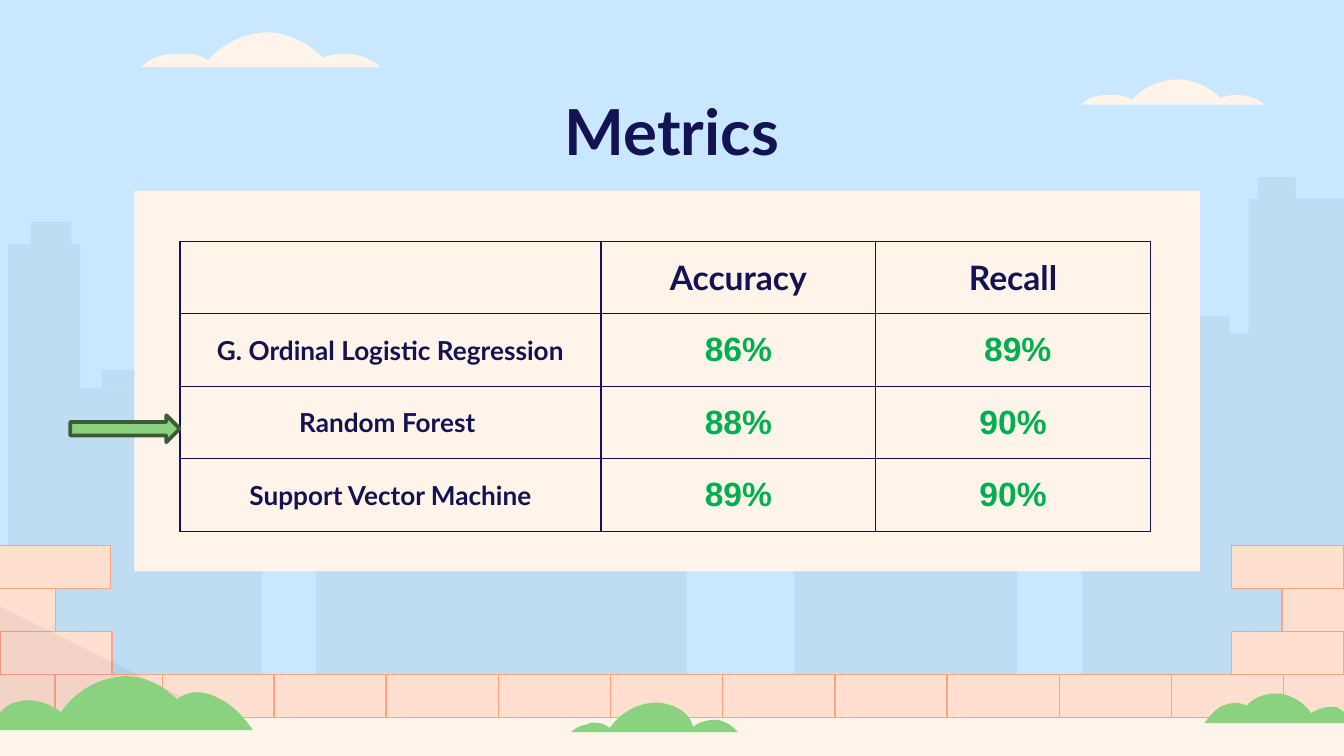
from lxml.etree import SubElement
from pptx import Presentation
from pptx.dml.color import RGBColor as RGB
from pptx.enum.shapes import MSO_SHAPE as SHAPE
from pptx.enum.text import MSO_ANCHOR as ANCHOR, PP_ALIGN as ALIGN
from pptx.oxml.ns import qn
from pptx.util import Cm, Pt

COLORS = {
    "sky": "C9E8FF", "cream": "FFF4E9", "navy": "131353", "score": "00B050",
    "shade": "000000", "brick": "FFDFD0", "mortar": "FFA386",
    "leaf": "8AD280", "arrow_edge": "3C5C38",
}

BACK_BUILDINGS = [
    (0.15, 4.62, 1.52, 14.63), (1.52, 7.34, 4.95, 14.63),
    (1.93, 6.99, 4.57, 7.34), (0.58, 4.19, 1.35, 4.62),
    (23.6, 3.76, 25.83, 13.06), (20.45, 6.3, 23.6, 13.06),
    (20.78, 5.97, 23.24, 6.3), (23.77, 3.35, 24.49, 3.76),
    (18.01, 5.05, 19.23, 13.82), (15.01, 7.44, 18.01, 13.82),
]
FRONT_BUILDINGS = [
    (5.97, 5.51, 6.76, 13.16), (6.76, 4.14, 8.28, 13.16),
    (8.28, 5, 10.21, 13.16), (10.21, 7.21, 12.98, 13.16),
]

CLOUD = [
    [(0.52, 0)],
    [(0.61, 0), (0.7, 0.31), (0.76, 0.73)],
    [(0.79, 0.65), (0.82, 0.62), (0.85, 0.62)],
    [(0.9, 0.62), (0.96, 0.73), (1, 1)],
    [(0, 1)],
    [(0.03, 0.81), (0.06, 0.69), (0.1, 0.65)],
    [(0.12, 0.62), (0.15, 0.62), (0.17, 0.62)],
    [(0.21, 0.62), (0.25, 0.65), (0.28, 0.81)],
    [(0.34, 0.31), (0.43, 0.04), (0.52, 0)],
]
MIDDLE_BUSH = [
    [(0.51, 0)],
    [(0.4, 0), (0.29, 0.36), (0.23, 0.86)],
    [(0.2, 0.73), (0.17, 0.68), (0.14, 0.68)],
    [(0.12, 0.68), (0.1, 0.68), (0.1, 0.73)],
    [(0.06, 0.77), (0.02, 0.86), (0, 1)],
    [(1, 1)],
    [(0.97, 0.82), (0.93, 0.64), (0.88, 0.59)],
    [(0.87, 0.59), (0.86, 0.59), (0.85, 0.59)],
    [(0.81, 0.59), (0.76, 0.68), (0.73, 0.82)],
    [(0.72, 0.59), (0.69, 0.36), (0.65, 0.23)],
    [(0.61, 0.09), (0.57, 0.05), (0.53, 0)],
]
LEFT_BUSH = [
    [(0.49, 0)],
    [(0.48, 0), (0.47, 0.02), (0.46, 0.02)],
    [(0.37, 0.08), (0.29, 0.33), (0.24, 0.68)],
    [(0.23, 0.6), (0.21, 0.6), (0.2, 0.55)],
    [(0.17, 0.48), (0.14, 0.45), (0.11, 0.45)],
    [(0.1, 0.45), (0.09, 0.45), (0.07, 0.48)],
    [(0.04, 0.5), (0.02, 0.58), (0, 0.68)],
    [(0, 1)],
    [(1, 1)],
    [(0.96, 0.72), (0.91, 0.5), (0.86, 0.4)],
    [(0.84, 0.35), (0.81, 0.3), (0.78, 0.3)],
    [(0.75, 0.3), (0.72, 0.35), (0.7, 0.43)],
    [(0.64, 0.15), (0.57, 0), (0.49, 0)],
]
RIGHT_BUSH = [
    [(0.5, 0)],
    [(0.52, 0), (0.53, 0), (0.54, 0)],
    [(0.63, 0.09), (0.71, 0.32), (0.76, 0.68)],
    [(0.77, 0.59), (0.79, 0.59), (0.8, 0.55)],
    [(0.83, 0.5), (0.86, 0.45), (0.9, 0.45)],
    [(0.91, 0.45), (0.92, 0.45), (0.93, 0.45)],
    [(0.96, 0.5), (0.98, 0.59), (1, 0.68)],
    [(1, 1)],
    [(0, 1)],
    [(0.04, 0.73), (0.09, 0.5), (0.13, 0.41)],
    [(0.16, 0.36), (0.19, 0.32), (0.22, 0.32)],
    [(0.25, 0.32), (0.28, 0.36), (0.3, 0.41)],
    [(0.35, 0.14), (0.43, 0), (0.5, 0)],
]

METRICS = [
    ["", "Accuracy", "Recall"],
    ["G. Ordinal Logistic Regression", "86%", " 89%"],
    ["Random Forest ", "88%", "90%"],
    ["Support Vector Machine", "89%", "90%"],
]


def color(name):
    return RGB.from_string(COLORS[name])


def write(tf, text, size=18, font="Lato", ink="navy", align=ALIGN.CENTER):
    p = tf.paragraphs[0]
    p.alignment = align
    r = p.add_run()
    r.text = text
    r.font.size, r.font.name, r.font.bold = Pt(size), font, True
    r.font.color.rgb = color(ink)


def flatten(segments, steps=10):
    points = list(segments[0])
    for seg in segments[1:]:
        if len(seg) == 1:
            points += seg
            continue
        ctrl = [points[-1], *seg]
        for t in (i / steps for i in range(1, steps + 1)):
            weights = ((1 - t) ** 3, 3 * t * (1 - t) ** 2, 3 * t * t * (1 - t), t ** 3)
            points.append(tuple(sum(w * c[k] for w, c in zip(weights, ctrl)) for k in (0, 1)))
    return points


class Scene:
    """Holds the slide being drawn and the style of its elements."""

    inset = Cm(0.25)

    def __init__(self, s):
        self.s = s
        s.background.fill.solid()
        s.background.fill.fore_color.rgb = color("sky")

    def paint(self, sp, fill=None, line=None, width=0.75, alpha=None):
        sp.shadow.inherit = False
        if fill:
            sp.fill.solid()
            sp.fill.fore_color.rgb = color(fill)
        else:
            sp.fill.background()
        if alpha:
            clr = sp._element.spPr.find(".//" + qn("a:srgbClr"))
            SubElement(clr, qn("a:alpha"), val=str(alpha * 1000))
        if line:
            sp.line.color.rgb = color(line)
            sp.line.width = Pt(width)
        else:
            sp.line.fill.background()

    def shape(self, x, y, w, h, kind=SHAPE.RECTANGLE, **style):
        sp = self.s.shapes.add_shape(kind, Cm(x), Cm(y), Cm(w), Cm(h))
        self.paint(sp, **style)

    def building(self, left, top, right, bottom):
        self.shape(left, top, right - left, bottom - top, fill="shade", alpha=5)

    def brick(self, x, y):
        self.shape(x, y, 2.12, 0.81, fill="brick", line="mortar")

    def outline(self, segments, x, y, w, h, fill):
        points = [(Cm(x + w * u), Cm(y + h * v)) for u, v in flatten(segments)]
        builder = self.s.shapes.build_freeform(*points[0])
        builder.add_line_segments(points[1:], close=True)
        self.paint(builder.convert_to_shape(), fill=fill)

    def title(self, text, x, y, w, h):
        tf = self.s.shapes.add_textbox(Cm(x), Cm(y), Cm(w), Cm(h)).text_frame
        tf.word_wrap = True
        tf.margin_left = tf.margin_right = tf.margin_top = tf.margin_bottom = self.inset
        write(tf, text, size=34)

    def cell(self, cell, text, **style):
        cell.vertical_anchor = ANCHOR.MIDDLE
        cell.margin_left = cell.margin_right = cell.margin_top = cell.margin_bottom = self.inset
        tc_pr = cell._tc.get_or_add_tcPr()
        for side in "LRTB":
            ln = SubElement(tc_pr, qn(f"a:ln{side}"), w=str(Pt(0.75)))
            SubElement(SubElement(ln, qn("a:solidFill")), qn("a:srgbClr"), val=COLORS["navy"])
        cell.fill.background()
        if text:
            write(cell.text_frame, text, **style)

    def table(self, rows, x, y, widths, row_height):
        frame = self.s.shapes.add_table(len(rows), len(widths), Cm(x), Cm(y),
                                        Cm(sum(widths)), Cm(row_height * len(rows)))
        tbl = frame.table
        tbl.first_row = tbl.horz_banding = False
        for col, w in zip(tbl.columns, widths):
            col.width = Cm(w)
        for i, row in enumerate(rows):
            tbl.rows[i].height = Cm(row_height)
            for j, text in enumerate(row):
                style = {}
                if i:
                    style = {"font": "Arial", "ink": "score"} if j else {"size": 14}
                self.cell(tbl.cell(i, j), text, **style)


def main():
    prs = Presentation()
    prs.slide_width, prs.slide_height = Cm(25.4), Cm(14.29)
    scene = Scene(prs.slides.add_slide(prs.slide_layouts[6]))

    for box in BACK_BUILDINGS:
        scene.building(*box)
    scene.shape(0, 13.56, 25.4, 0.84, fill="cream")
    for box in FRONT_BUILDINGS:
        scene.building(*box)

    for x in [-1.07, 1.04, 3.07] + [5.18 + 2.12 * i for i in range(10)]:
        scene.brick(x, 12.75)
    for y, ends in [(11.94, (0, 23.27)), (11.13, (-1.07, 24.23)), (10.31, (-0.03, 23.27))]:
        for x in ends:
            scene.brick(x, y)
    scene.shape(0, 11.46, 4.24, 2.11, SHAPE.RIGHT_TRIANGLE, fill="shade", alpha=5)

    scene.outline(MIDDLE_BUSH, 10.8, 13.28, 3.15, 0.56, "leaf")
    scene.outline(LEFT_BUSH, 0, 12.78, 4.78, 1.02, "leaf")
    scene.outline(RIGHT_BUSH, 22.76, 13.11, 2.67, 0.56, "leaf")
    scene.outline(CLOUD, 2.67, 0.61, 4.52, 0.66, "cream")
    scene.outline(CLOUD, 20.42, 1.5, 3.48, 0.48, "cream")

    scene.shape(2.54, 3.61, 20.14, 7.19, fill="cream")
    scene.shape(3.4, 4.56, 18.34, 5.49, line="navy")
    scene.title("Metrics", 1.98, 1.5, 21.44, 1.6)
    scene.table(METRICS, 3.4, 4.56, [7.96, 5.19, 5.19], 1.37)
    scene.shape(1.33, 7.85, 2.07, 0.51, SHAPE.RIGHT_ARROW,
                fill="leaf", line="arrow_edge", width=2)
    prs.save("out.pptx")


if __name__ == "__main__":
    main()
